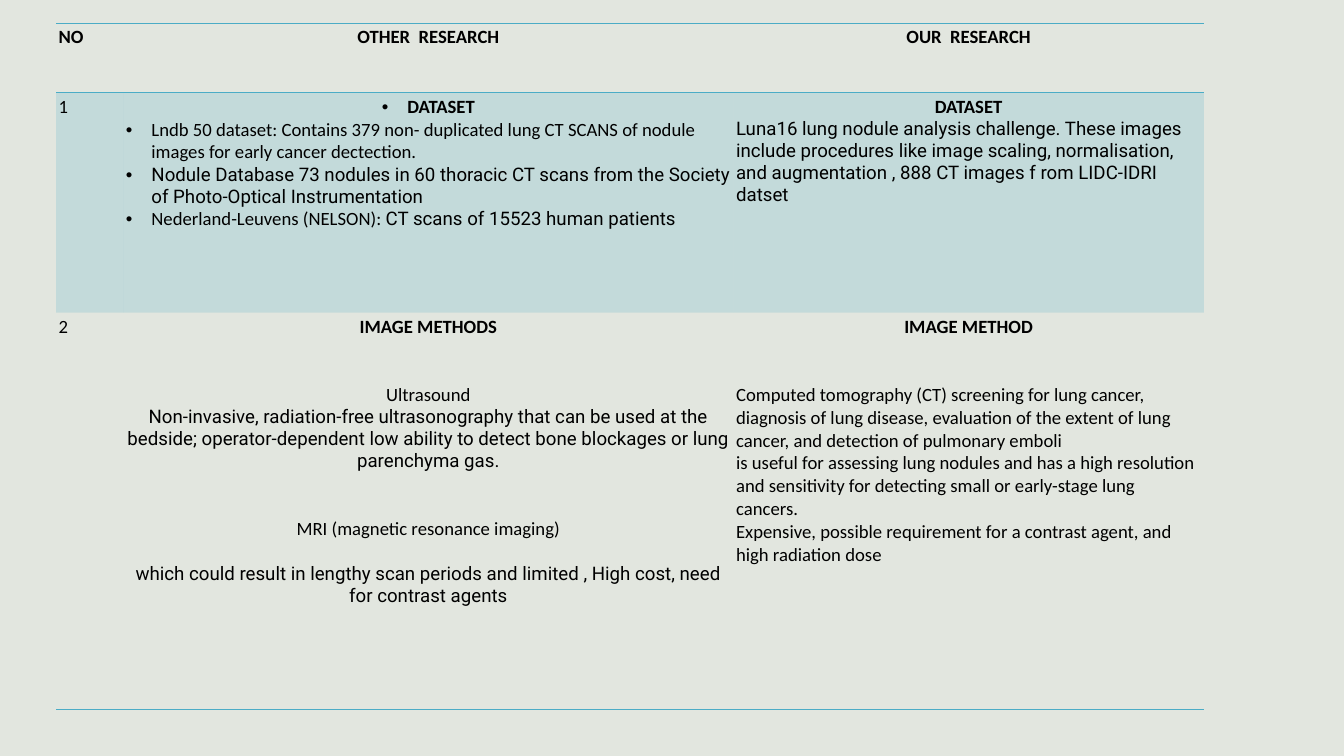
from dataclasses import dataclass

from lxml import etree
from pptx import Presentation
from pptx.dml.color import RGBColor
from pptx.enum.text import PP_ALIGN
from pptx.oxml.ns import qn
from pptx.util import Emu, Inches, Pt

CENTER = PP_ALIGN.CENTER
LEFT = PP_ALIGN.LEFT
NO_STYLE = "{2D5ABB26-0587-4C30-8999-92F81FD0307C}"
SLIDE_WIDTH, SLIDE_HEIGHT = Inches(20), Inches(11.25)
TABLE_LEFT, TABLE_TOP = 4.17, 3.02
COLUMN_SHARES = (5, 45.4, 35)
ROW_SHARES = (9.16, 29.16, 52.53)


@dataclass(frozen=True)
class Theme:
    background: str = "E2E6DF"
    accent: str = "4BACC6"
    text: str = "000000"
    heading_font: str = "Calibri"
    detail_font: str = "Roboto"
    size: float = 20
    rule: float = 0.45
    band_opacity: int = 20
    bullet_indent: float = 0.38


THEME = Theme()
CALIBRI, ROBOTO = THEME.heading_font, THEME.detail_font


@dataclass(frozen=True)
class Line:
    segments: tuple[tuple[str, str], ...]
    align: PP_ALIGN = LEFT
    bold: bool = False
    bullet: bool = False
    before: float = 0


def line(text: str, font: str = CALIBRI, **options) -> Line:
    return Line(((text, font),), **options)


def heading(text: str, **options) -> Line:
    return line(text, align=CENTER, bold=True, **options)


ROWS = (
    (
        (line("NO", bold=True),),
        (heading("OTHER  RESEARCH"),),
        (heading("OUR  RESEARCH"),),
    ),
    (
        (line("1"),),
        (
            heading("DATASET", bullet=True),
            line("Lndb 50 dataset: Contains 379 non- duplicated lung CT SCANS of nodule "
                 "images for early cancer dectection.", bullet=True),
            line("Nodule Database 73 nodules in 60 thoracic CT scans from the Society "
                 "of Photo-Optical Instrumentation", ROBOTO, bullet=True),
            Line((("Nederland-Leuvens (NELSON): ", CALIBRI),
                  ("CT scans of 15523 human patients", ROBOTO)), bullet=True),
        ),
        (
            heading("DATASET"),
            line("Luna16 lung nodule analysis challenge. These images include procedures "
                 "like image scaling, normalisation, and augmentation , 888 CT images "
                 "f rom LIDC-IDRI datset", ROBOTO),
        ),
    ),
    (
        (line("2"),),
        (
            heading("IMAGE METHODS"),
            line("Ultrasound", align=CENTER, before=48),
            line("Non-invasive, radiation-free ultrasonography that can be used at the "
                 "bedside; operator-dependent low ability to detect bone blockages or lung "
                 "parenchyma gas.", ROBOTO, align=CENTER),
            line("MRI (magnetic resonance imaging)", align=CENTER, before=49),
            line("which could result in lengthy scan periods and limited , High cost, need "
                 "for contrast agents", ROBOTO, align=CENTER, before=24),
        ),
        (
            heading("IMAGE METHOD"),
            line("Computed tomography (CT) screening for lung cancer, diagnosis of lung "
                 "disease, evaluation of the extent of lung cancer, and detection of "
                 "pulmonary emboli\n"
                 "is useful for assessing lung nodules and has a high resolution and "
                 "sensitivity for detecting small or early-stage lung cancers.\n"
                 "Expensive, possible requirement for a contrast agent, and high "
                 "radiation dose", before=48),
        ),
    ),
)
RULES = (("lnT",), ("lnT",), ("lnB",))


def across(share: float) -> Emu:
    return Emu(round(SLIDE_WIDTH * share / 100))


def down(share: float) -> Emu:
    return Emu(round(SLIDE_HEIGHT * share / 100))


def add_color(parent, color: str):
    return etree.SubElement(parent, qn("a:srgbClr"), val=color)


def add_bullet(paragraph) -> None:
    properties = paragraph._p.get_or_add_pPr()
    indent = Inches(THEME.bullet_indent)
    properties.set("marL", str(indent))
    properties.set("indent", str(-indent))
    add_color(etree.SubElement(properties, qn("a:buClr")), THEME.text)
    etree.SubElement(properties, qn("a:buFont"), typeface="Arial")
    etree.SubElement(properties, qn("a:buChar"), char="•")


def style_font(font, name: str, bold: bool) -> None:
    font.name = name
    font.size = Pt(THEME.size)
    font.bold = bold
    font.color.rgb = RGBColor.from_string(THEME.text)


def write_line(paragraph, content: Line) -> None:
    paragraph.alignment = content.align
    if content.before:
        paragraph.space_before = Pt(content.before)
    if content.bullet:
        add_bullet(paragraph)
    if len(content.segments) == 1:
        text, name = content.segments[0]
        for position, piece in enumerate(text.split("\n")):
            if position:
                paragraph.add_line_break()
            paragraph.add_run().text = piece
        style_font(paragraph.font, name, content.bold)
        return
    for text, name in content.segments:
        run = paragraph.add_run()
        run.text = text
        style_font(run.font, name, content.bold)


def style_cell(cell, banded: bool, rules: tuple[str, ...]) -> None:
    cell.margin_left = cell.margin_right = Inches(0.04)
    cell.margin_top = cell.margin_bottom = Inches(0.05)
    properties = cell._tc.get_or_add_tcPr()
    for side in ("lnL", "lnR", "lnT", "lnB"):
        border = etree.SubElement(properties, qn(f"a:{side}"), w=str(Pt(THEME.rule)))
        if side in rules:
            add_color(etree.SubElement(border, qn("a:solidFill")), THEME.accent)
        else:
            etree.SubElement(border, qn("a:noFill"))
    if banded:
        cell.fill.solid()
        cell.fill.fore_color.rgb = RGBColor.from_string(THEME.accent)
        color = properties.find(qn("a:solidFill")).find(qn("a:srgbClr"))
        etree.SubElement(color, qn("a:alpha"), val=str(THEME.band_opacity * 1000))
    else:
        cell.fill.background()


def fill_cell(cell, lines: tuple[Line, ...]) -> None:
    frame = cell.text_frame
    for index, content in enumerate(lines):
        paragraph = frame.add_paragraph() if index else frame.paragraphs[0]
        write_line(paragraph, content)


def add_comparison(slide) -> None:
    table = slide.shapes.add_table(
        len(ROW_SHARES), len(COLUMN_SHARES), across(TABLE_LEFT), down(TABLE_TOP),
        across(sum(COLUMN_SHARES)), down(sum(ROW_SHARES))).table
    table.first_row = table.horz_banding = False
    table._tbl.tblPr.find(qn("a:tableStyleId")).text = NO_STYLE
    for column, share in zip(table.columns, COLUMN_SHARES):
        column.width = across(share)
    for index, (row, share) in enumerate(zip(table.rows, ROW_SHARES)):
        row.height = down(share)
        for cell, lines in zip(row.cells, ROWS[index]):
            style_cell(cell, index == 1, RULES[index])
            fill_cell(cell, lines)


def main() -> None:
    presentation = Presentation()
    presentation.slide_width, presentation.slide_height = SLIDE_WIDTH, SLIDE_HEIGHT
    slide = presentation.slides.add_slide(presentation.slide_layouts[6])
    slide.background.fill.solid()
    slide.background.fill.fore_color.rgb = RGBColor.from_string(THEME.background)
    add_comparison(slide)
    presentation.save("out.pptx")


if __name__ == "__main__":
    main()
